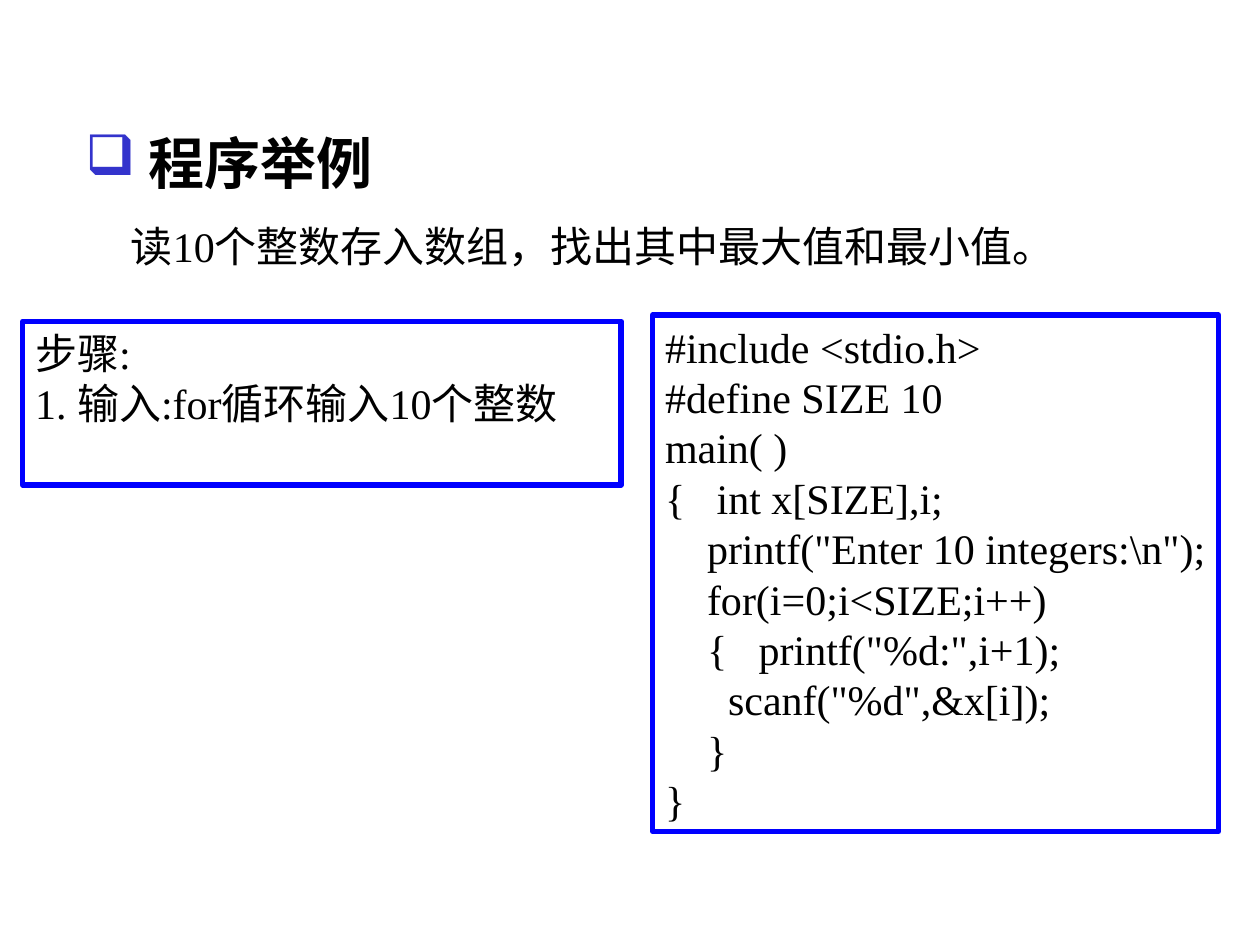
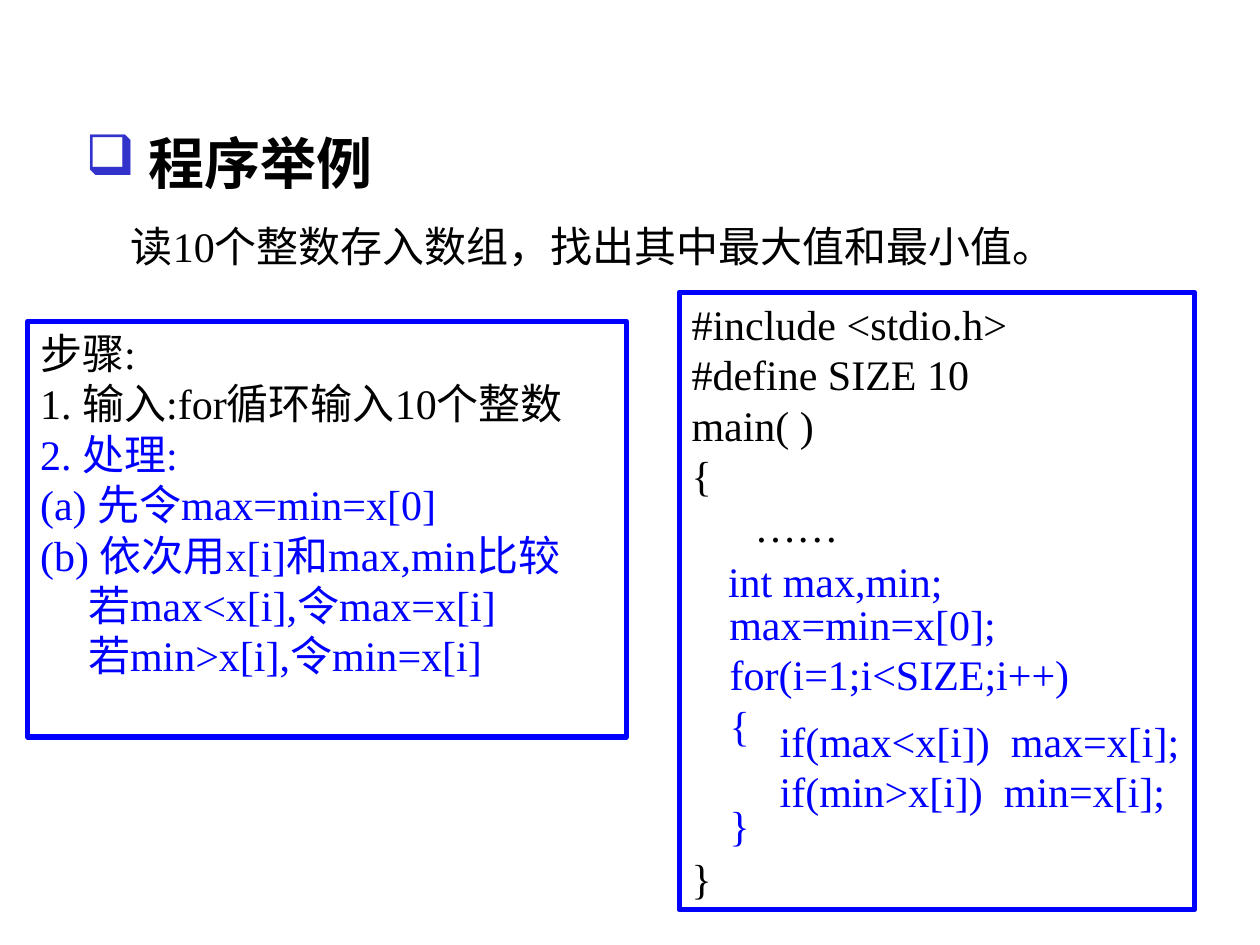
from dataclasses import dataclass

import pptx
import pptx.dml.color
import pptx.enum.shapes
import pptx.enum.text
import pptx.oxml
import pptx.oxml.ns
import pptx.presentation
import pptx.slide
import pptx.text.text
import pptx.util
from pptx.util import Inches

BLACK = pptx.dml.color.RGBColor(0x00, 0x00, 0x00)
WHITE = pptx.dml.color.RGBColor(0xFF, 0xFF, 0xFF)
BLUE = pptx.dml.color.RGBColor(0x00, 0x00, 0xFF)
BULLET_BLUE = pptx.dml.color.RGBColor(0x33, 0x33, 0xCC)
BODY_SIZE = 24
TITLE_SIZE = 32
LEADING = 1.2
BODY_LINE = BODY_SIZE * LEADING


@dataclass(frozen=True)
class Line:
    text: str
    color: pptx.dml.color.RGBColor = BLACK
    blank_lines_above: int = 0
    indent: float = 0
    size: int = BODY_SIZE
    font: str = "Times New Roman"
    bold: bool = False
    bullet: str = ""


@dataclass(frozen=True)
class TextBlock:
    left: float
    top: float
    width: float
    height: float
    lines: list[Line]
    framed: bool = False


def colored(color: pptx.dml.color.RGBColor, *texts: str) -> list[Line]:
    return [Line(text, color) for text in texts]


HEADER = [
    TextBlock(0.94, 1.7, 7.69, 0.5,
              [Line("读10个整数存入数组，找出其中最大值和最小值。")]),
    TextBlock(0.58, 0.97, 4.02, 0.64,
              [Line("程序举例", indent=0.5, size=TITLE_SIZE, font="Arial",
                    bold=True, bullet="❑")]),
]
INPUT_STEPS = colored(BLACK, "步骤:", "1. 输入:for循环输入10个整数")
PROCESS_STEPS = colored(
    BLUE, "2. 处理:", "(a) 先令max=min=x[0]", "(b) 依次用x[i]和max,min比较",
) + [
    Line("若max<x[i],令max=x[i]", BLUE, indent=0.38),
    Line("若min>x[i],令min=x[i]", BLUE, indent=0.38),
]
PROGRAM_START = colored(BLACK, "#include <stdio.h>", "#define SIZE 10", "main( )")
INPUT_CODE = colored(
    BLACK,
    "{   int x[SIZE],i;",
    '    printf("Enter 10 integers:\\n");',
    "    for(i=0;i<SIZE;i++)",
    '    {   printf("%d:",i+1);',
    '\tscanf("%d",&x[i]);',
    "    }",
    "}",
)
OUTER_CODE = colored(BLACK, "{", "      ……") + [Line("}", blank_lines_above=6)]
LOOP_CODE = colored(BLUE, "    for(i=1;i<SIZE;i++)", "    {") + [
    Line("    }", BLUE, blank_lines_above=1)
]
COMPARE_CODE = colored(BLUE, "if(max<x[i])  max=x[i];", "if(min>x[i])  min=x[i];")

PAGES = [
    [
        TextBlock(0.18, 2.55, 4.75, 1.3, INPUT_STEPS, framed=True),
        TextBlock(5.18, 2.5, 4.49, 4.1, PROGRAM_START + INPUT_CODE, framed=True),
    ],
    [
        TextBlock(0.22, 2.55, 4.75, 3.3, INPUT_STEPS + PROCESS_STEPS, framed=True),
        TextBlock(5.39, 2.32, 4.09, 4.9, PROGRAM_START + OUTER_CODE, framed=True),
        TextBlock(6.09, 5.63, 3.8, 0.9, COMPARE_CODE),
        TextBlock(5.36, 5.1, 4, 1.7, LOOP_CODE),
        TextBlock(5.69, 4.7, 2.4, 0.5, colored(BLUE, "max=min=x[0];")),
        TextBlock(5.68, 4.36, 2.4, 0.5, colored(BLUE, "int max,min;")),
    ],
]


def add_bullet(para: pptx.text.text._Paragraph, symbol: str) -> None:
    properties = para._p.get_or_add_pPr()
    color = pptx.oxml.parse_xml(
        f'<a:buClr {pptx.oxml.ns.nsdecls("a")}><a:srgbClr val="{BULLET_BLUE}"/></a:buClr>'
    )
    character = pptx.oxml.parse_xml(
        f'<a:buChar {pptx.oxml.ns.nsdecls("a")} char="{symbol}"/>'
    )
    properties.extend([color, character])


def write_line(para: pptx.text.text._Paragraph, line: Line) -> None:
    para.alignment = pptx.enum.text.PP_ALIGN.LEFT
    para.line_spacing = pptx.util.Pt(line.size * LEADING)
    if line.blank_lines_above:
        para.space_before = pptx.util.Pt(line.blank_lines_above * BODY_LINE)
    if line.indent:
        properties = para._p.get_or_add_pPr()
        properties.set("marL", str(Inches(line.indent)))
        properties.set("indent", str(-Inches(line.indent) if line.bullet else 0))
    if line.bullet:
        add_bullet(para, line.bullet)
    span = para.add_run()
    span.text = line.text
    span.font.name = line.font
    span.font.size = pptx.util.Pt(line.size)
    span.font.bold = line.bold
    span.font.color.rgb = line.color


def draw_block(page: pptx.slide.Slide, block: TextBlock) -> None:
    bounds = [Inches(n) for n in (block.left, block.top, block.width, block.height)]
    if block.framed:
        box = page.shapes.add_shape(pptx.enum.shapes.MSO_SHAPE.RECTANGLE, *bounds)
        box.shadow.inherit = False
        box.fill.solid()
        box.fill.fore_color.rgb = WHITE
        box.line.color.rgb = BLUE
        box.line.width = pptx.util.Pt(3)
    else:
        box = page.shapes.add_textbox(*bounds)
    frame = box.text_frame
    frame.word_wrap = True
    frame.vertical_anchor = pptx.enum.text.MSO_ANCHOR.TOP
    frame.margin_right = 0
    for index, line in enumerate(block.lines):
        para = frame.add_paragraph() if index else frame.paragraphs[0]
        write_line(para, line)


def main() -> None:
    deck = pptx.Presentation()
    deck.slide_width = Inches(10)
    deck.slide_height = Inches(7.5)
    for blocks in PAGES:
        page = deck.slides.add_slide(deck.slide_layouts[6])
        for block in HEADER + blocks:
            draw_block(page, block)
    deck.save("out.pptx")


if __name__ == "__main__":
    main()
